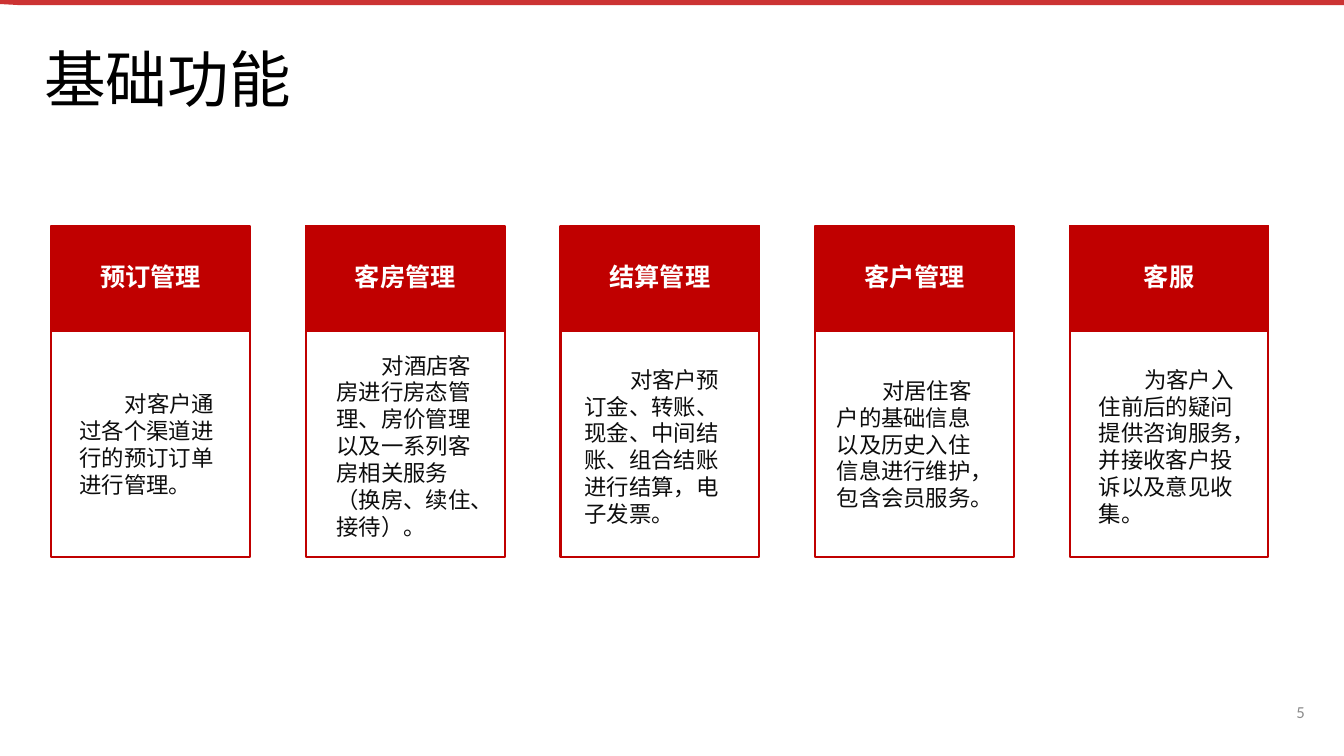
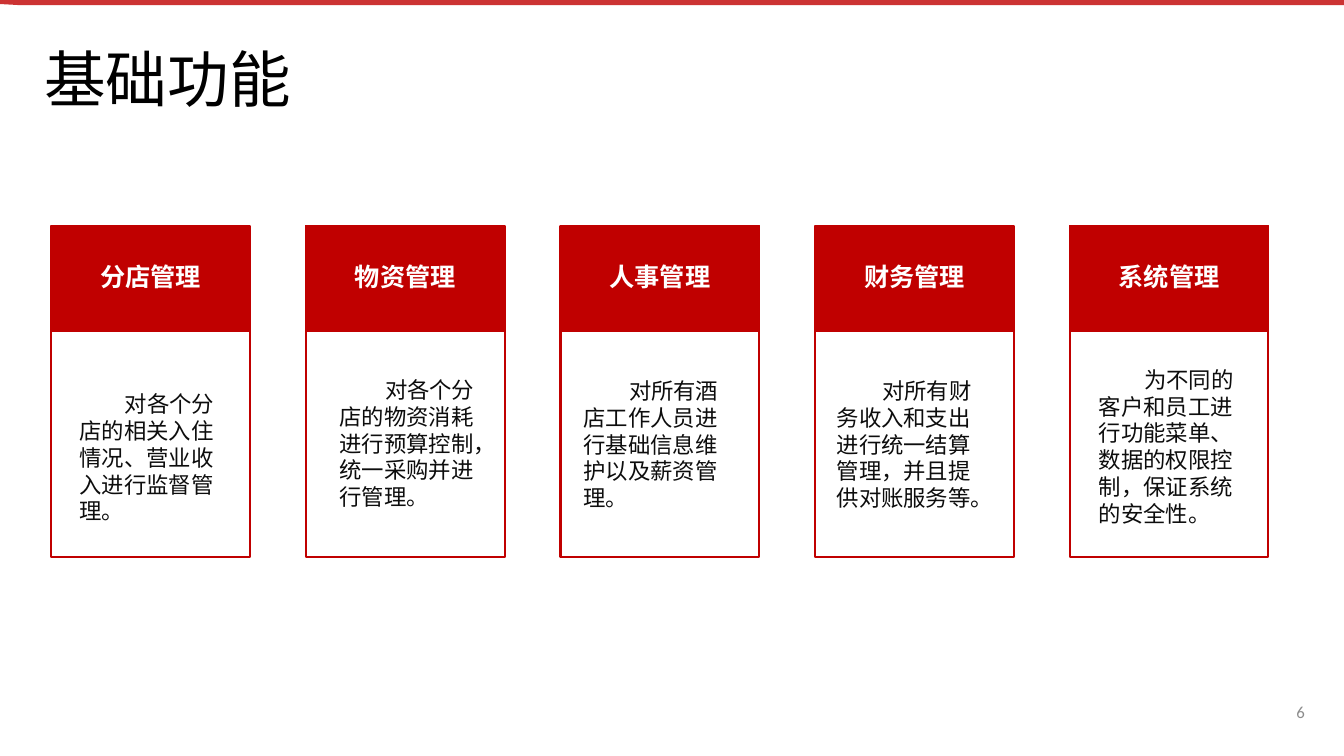
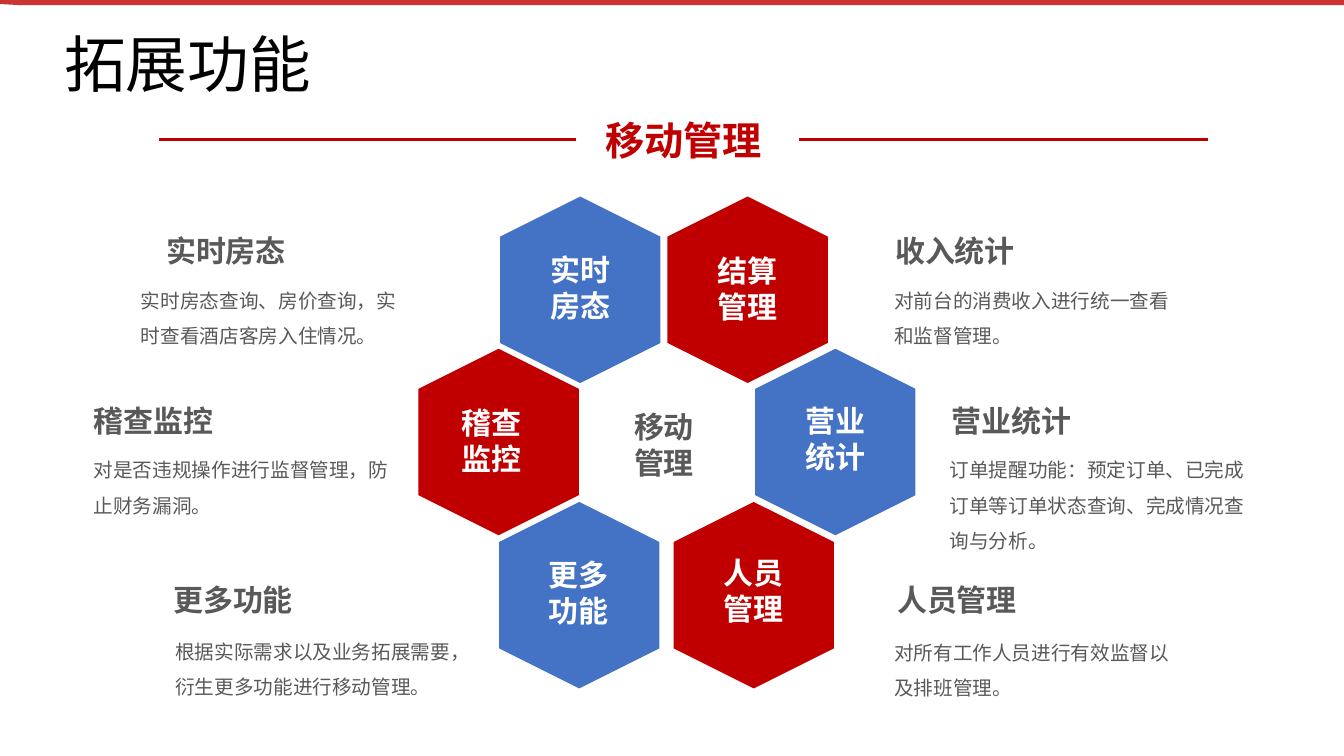
from lxml.etree import SubElement
from pptx import Presentation
from pptx.dml.color import RGBColor
from pptx.enum.shapes import MSO_CONNECTOR, MSO_SHAPE
from pptx.enum.text import MSO_ANCHOR, PP_ALIGN
from pptx.oxml.ns import qn
from pptx.util import Inches, Pt

RED = RGBColor(0xC0, 0x00, 0x00)
BLUE = RGBColor(0x44, 0x72, 0xC4)
WHITE = RGBColor(0xFF, 0xFF, 0xFF)
BLACK = RGBColor(0x00, 0x00, 0x00)
INK = RGBColor(0x0D, 0x0D, 0x0D)
GRAY = RGBColor(0x59, 0x59, 0x59)
LIGHT_GRAY = RGBColor(0x8C, 0x8C, 0x8C)
CHINESE_FONT = "Noto Sans CJK SC"

presentation = Presentation()
presentation.slide_width = Inches(13.33)
presentation.slide_height = Inches(7.5)


def add_text(shapes, text, left, top, width, height, size, color, font=CHINESE_FONT, bold=False,
             align=PP_ALIGN.LEFT, spacing=1.0, indent=0, anchor=MSO_ANCHOR.TOP, fill=None):
    """Add a text box, or a rectangle with text when a fill is given."""
    box = Inches(left), Inches(top), Inches(width), Inches(height)
    if fill is None:
        shape = shapes.add_textbox(*box)
    else:
        shape = shapes.add_shape(MSO_SHAPE.RECTANGLE, *box)
        shape.shadow.inherit = False
        shape.fill.solid()
        shape.fill.fore_color.rgb = fill
        shape.line.color.rgb = RED
        shape.line.width = Pt(0.75)
    frame = shape.text_frame
    frame.word_wrap = True
    frame.vertical_anchor = anchor
    frame.text = text
    for paragraph in frame.paragraphs:
        paragraph.alignment = align
        paragraph.line_spacing = spacing
        paragraph.font.name = font
        paragraph.font.size = Pt(size)
        paragraph.font.bold = bold
        paragraph.font.color.rgb = color
        properties = paragraph.font._element
        SubElement(properties, qn("a:ea"), typeface=CHINESE_FONT)
        if indent:
            properties.getparent().set("indent", str(Inches(indent)))


def add_slide(title, left, top):
    """Add a slide with the translucent top band and its title."""
    slide = presentation.slides.add_slide(presentation.slide_layouts[6])
    outline = slide.shapes.build_freeform(0, 0, scale=Inches(1) / 100)
    outline.add_line_segments([(1333, 0), (1333, 5), (18, 5), (0, 4)])
    band = outline.convert_to_shape()
    band.shadow.inherit = False
    band.fill.solid()
    band.fill.fore_color.rgb = RED
    color = band.fill._xPr.find(qn("a:solidFill"))[0]
    SubElement(color, qn("a:alpha"), val="80000")
    band.line.fill.background()
    add_text(slide.shapes, title, left, top, 6.53, 0.66, 44, BLACK, "Calibri", spacing=0.9)
    return slide


# Basic functions: heading, description, left and top of the description
basic_slides = {
    5: [
        ("预订管理", "对客户通过各个渠道进行的预订订单进行管理。", 0.69, 3.82),
        ("客房管理", "对酒店客房进行房态管理、房价管理以及一系列客房相关服务（换房、续住、接待）。", 3.24, 3.44),
        ("结算管理", "对客户预订金、转账、现金、中间结账、组合结账进行结算，电子发票。", 5.7, 3.58),
        ("客户管理", "对居住客户的基础信息以及历史入住信息进行维护，包含会员服务。", 8.2, 3.69),
        ("客服", "为客户入住前后的疑问提供咨询服务，并接收客户投诉以及意见收集。", 10.8, 3.58),
    ],
    6: [
        ("分店管理", "对各个分店的相关入住情况、营业收入进行监督管理。", 0.69, 3.82),
        ("物资管理", "对各个分店的物资消耗进行预算控制，统一采购并进行管理。", 3.27, 3.68),
        ("人事管理", "对所有酒店工作人员进行基础信息维护以及薪资管理。", 5.69, 3.69),
        ("财务管理", "对所有财务收入和支出进行统一结算管理，并且提供对账服务等。", 8.2, 3.69),
        ("系统管理", "为不同的客户和员工进行功能菜单、数据的权限控制，保证系统的安全性。", 10.8, 3.58),
    ],
}
CARD_LEFT, CARD_TOP, CARD_WIDTH, CARD_HEIGHT = 0.51, 2.24, 1.97, 3.29
CARD_STEP = 2.525

for number, cards in basic_slides.items():
    slide = add_slide("基础功能", 0.34, 0.44)
    add_text(slide.shapes, str(number), 10.04, 6.86, 3, 0.4, 12, LIGHT_GRAY, "Calibri",
             align=PP_ALIGN.RIGHT, anchor=MSO_ANCHOR.MIDDLE)
    for index, (heading, description, text_left, text_top) in enumerate(cards):
        card_left = CARD_LEFT + index * CARD_STEP
        card = slide.shapes.add_group_shape().shapes
        frame = card.add_shape(MSO_SHAPE.RECTANGLE, Inches(card_left), Inches(CARD_TOP),
                               Inches(CARD_WIDTH), Inches(CARD_HEIGHT))
        frame.shadow.inherit = False
        frame.fill.solid()
        frame.fill.fore_color.rgb = WHITE
        frame.line.color.rgb = RED
        frame.line.width = Pt(1.5)
        add_text(card, heading, card_left, CARD_TOP, CARD_WIDTH, 1.05, 18, WHITE, "Arial", bold=True,
                 align=PP_ALIGN.CENTER, spacing=0.9, anchor=MSO_ANCHOR.MIDDLE, fill=RED)
        add_text(card, description, text_left, text_top, 1.58, 1.45, 16, INK, "Calibri", indent=0.45)

# Extended functions: subtitle between two rules
slide = add_slide("拓展功能", 0.54, 0.29)
add_text(slide.shapes, "移动管理", 5.28, 1.1, 3, 0.57, 28, RED, "Arial", bold=True, align=PP_ALIGN.CENTER)
for start, end in [(1.58, 5.71), (7.92, 11.98)]:
    rule = slide.shapes.add_connector(MSO_CONNECTOR.STRAIGHT, Inches(start), Inches(1.38),
                                      Inches(end), Inches(1.38))
    rule.line.color.rgb = RED
    rule.line.width = Pt(2.25)
    SubElement(rule._element.spPr, qn("a:effectLst"))

# Hexagon ring: label, colour, hexagon position, label position
hexagons = [
    ("实时\n房态", BLUE, 4.83, 2.08, 5.19, 2.45),
    ("稽查\n监控", RED, 4.02, 3.59, 4.31, 3.96),
    ("更多\n功能", BLUE, 4.82, 5.11, 5.17, 5.47),
    ("人员\n管理", RED, 6.55, 5.11, 6.91, 5.45),
    ("营业\n统计", BLUE, 7.36, 3.59, 7.72, 3.94),
    ("结算\n管理", RED, 6.49, 2.08, 6.85, 2.46),
]
for label, color, left, top, label_left, label_top in hexagons:
    hexagon = slide.shapes.add_shape(MSO_SHAPE.HEXAGON, Inches(left), Inches(top), Inches(1.85), Inches(1.59))
    hexagon.rotation = 90
    hexagon.shadow.inherit = False
    hexagon.fill.solid()
    hexagon.fill.fore_color.rgb = color
    hexagon.line.fill.background()
    add_text(slide.shapes, label, label_left, label_top, 1.13, 0.82, 21.4, WHITE, bold=True,
             align=PP_ALIGN.CENTER)
add_text(slide.shapes, "移动管理", 6.19, 4, 0.89, 0.82, 21.4, GRAY, bold=True)

# Notes around the ring: heading and position, description with position and width
notes = [
    ("实时房态", 1.55, 2.26, "实时房态查询、房价查询，实时查看酒店客房入住情况。", 1.3, 2.7, 2.77),
    ("收入统计", 8.78, 2.26, "对前台的消费收入进行统一查看和监督管理。", 8.77, 2.7, 3),
    ("营业统计", 9.34, 3.94, "订单提醒功能：预定订单、已完成订单等订单状态查询、完成情况查询与分析。", 9.32, 4.38, 3.29),
    ("稽查监控", 0.83, 3.94, "对是否违规操作进行监督管理，防止财务漏洞。", 0.83, 4.38, 3.25),
    ("更多功能", 1.62, 5.72, "根据实际需求以及业务拓展需要，衍生更多功能进行移动管理。", 1.64, 6.18, 3),
    ("人员管理", 8.8, 5.72, "对所有工作人员进行有效监督以及排班管理。", 8.77, 6.19, 3),
]
for heading, heading_left, heading_top, description, left, top, width in notes:
    add_text(slide.shapes, heading, heading_left, heading_top, 3.04, 0.46, 21.4, GRAY, bold=True)
    add_text(slide.shapes, description, left, top, width, 0.81, 14, GRAY, spacing=1.5)

presentation.save("out.pptx")
